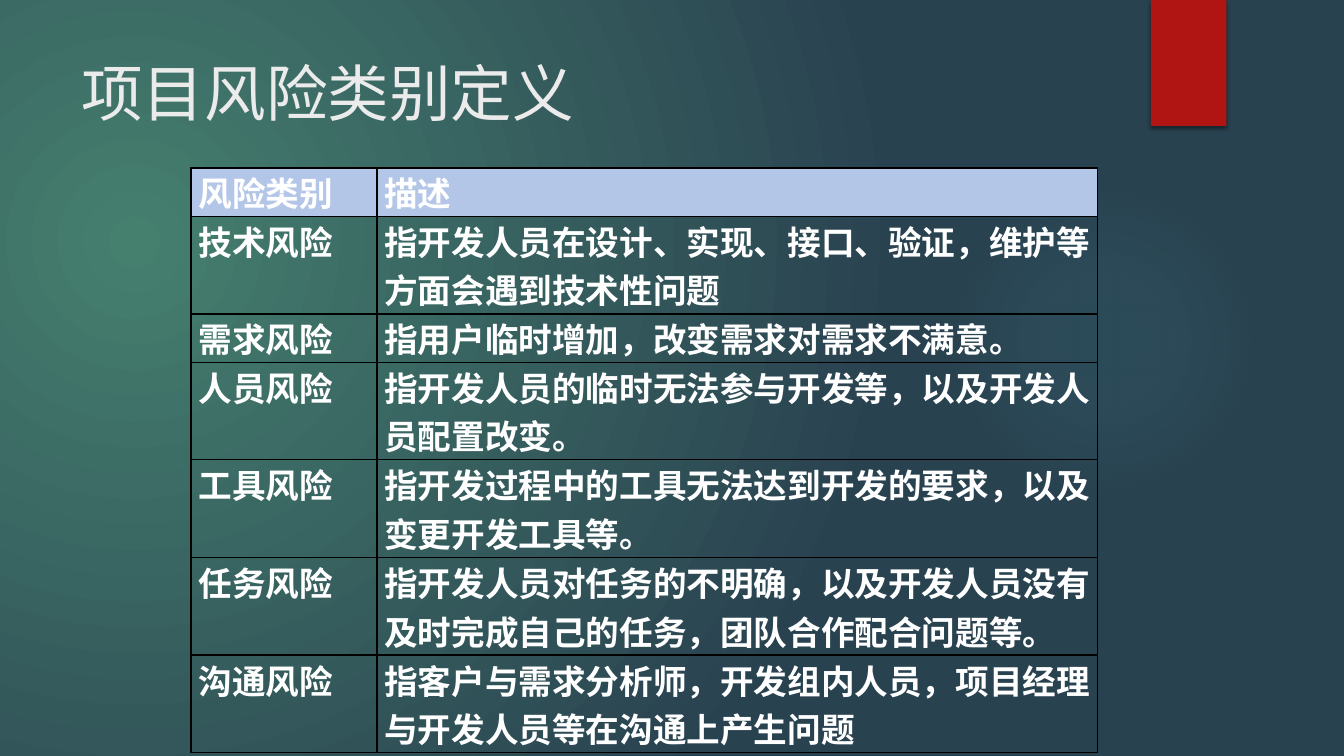
from dataclasses import dataclass

import lxml.etree
import pptx
import pptx.dml.color
import pptx.enum.shapes
import pptx.enum.text
import pptx.oxml
import pptx.oxml.ns
import pptx.util

RGBColor = pptx.dml.color.RGBColor
GREEN = RGBColor(0x45, 0x7F, 0x6E)
NAVY = RGBColor(0x29, 0x42, 0x50)
TEAL = RGBColor(0x50, 0xB9, 0xC1)
RED = RGBColor(0xB0, 0x15, 0x13)
PALE = RGBColor(0xEB, 0xEB, 0xEB)
WHITE = RGBColor(0xFF, 0xFF, 0xFF)
BLACK = RGBColor(0, 0, 0)
HEADER = RGBColor(0xB4, 0xC6, 0xE7)

EMU_PER_PX = 9525
ROW_HEIGHT = {1: 46, 2: 93}  # by number of text lines
TITLE_FONT = {"name": "TeX Gyre Adventor", "size": pptx.util.Pt(44)}
CELL_FONT = {"name": "Calibri", "size": pptx.util.Pt(24), "bold": True}
CELL_FORMAT = {"margin_left": 7, "margin_right": 7, "margin_top": 0, "margin_bottom": 0}


@dataclass
class Box:
    left: int
    top: int
    width: int
    height: int

    def emu(self) -> list[int]:
        return [px(v) for v in (self.left, self.top, self.width, self.height)]


@dataclass
class Stop:
    pos: int
    color: RGBColor
    alpha: int = 100


@dataclass
class Risk:
    name: str
    description: str
    lines: int = 2


RISKS = [
    Risk("风险类别", "描述", 1),
    Risk("技术风险", "指开发人员在设计、实现、接口、验证，维护等方面会遇到技术性问题"),
    Risk("需求风险", "指用户临时增加，改变需求对需求不满意。", 1),
    Risk("人员风险", "指开发人员的临时无法参与开发等，以及开发人员配置改变。"),
    Risk("工具风险", "指开发过程中的工具无法达到开发的要求，以及变更开发工具等。"),
    Risk("任务风险", "指开发人员对任务的不明确，以及开发人员没有及时完成自己的任务，团队合作配合问题等。"),
    Risk("沟通风险", "指客户与需求分析师，开发组内人员，项目经理与开发人员等在沟通上产生问题"),
]
COLUMNS = [177, 686]


def px(value: int) -> int:
    return value * EMU_PER_PX


def xml(text: str) -> lxml.etree._Element:
    """Parse a fragment whose root element is in the a: namespace."""
    head, rest = text.split(" ", 1)
    return pptx.oxml.parse_xml(f"{head} {pptx.oxml.ns.nsdecls('a')} {rest}")


def set_radial(parent: lxml.etree._Element, stops: list[Stop], rect: tuple[int, ...]) -> None:
    """Swap the solid fill of parent for a circular gradient."""
    gs = "".join(
        f'<a:gs pos="{st.pos * 1000}"><a:srgbClr val="{st.color}">'
        f'<a:alpha val="{st.alpha * 1000}"/></a:srgbClr></a:gs>'
        for st in stops
    )
    sides = " ".join(f'{k}="{v * 1000}"' for k, v in zip("ltrb", rect))
    grad = xml(
        f'<a:gradFill rotWithShape="1"><a:gsLst>{gs}</a:gsLst>'
        f'<a:path path="circle"><a:fillToRect {sides}/></a:path></a:gradFill>'
    )
    parent.replace(parent.find(pptx.oxml.ns.qn("a:solidFill")), grad)


def add_plain(s, kind, box: Box, color: RGBColor):
    sp = s.shapes.add_shape(kind, *box.emu())
    sp.fill.solid()
    sp.fill.fore_color.rgb = color
    sp.line.fill.background()
    sp.shadow.inherit = False
    return sp


def write(tf, text: str, font: dict, color: RGBColor) -> None:
    p = tf.paragraphs[0]
    r = p.add_run()
    r.text = text
    for key, value in font.items():
        setattr(r.font, key, value)
    r.font.color.rgb = color


def format_cell(cell, text: str, header: bool) -> None:
    for key, value in CELL_FORMAT.items():
        setattr(cell, key, px(value))
    write(cell.text_frame, text, CELL_FONT, WHITE)
    cell.text_frame.paragraphs[0].alignment = pptx.enum.text.PP_ALIGN.JUSTIFY
    # Borders come before the fill in the cell properties
    tc_pr = cell._tc.get_or_add_tcPr()
    for side in ("lnL", "lnR", "lnT", "lnB"):
        tc_pr.append(xml(
            f'<a:{side} w="12700"><a:solidFill><a:srgbClr val="{BLACK}"/>'
            f"</a:solidFill></a:{side}>"
        ))
    if header:
        cell.fill.solid()
        cell.fill.fore_color.rgb = HEADER
    else:
        cell.fill.background()


def add_risk_table(s, left: int, top: int) -> None:
    height = sum(ROW_HEIGHT[risk.lines] for risk in RISKS)
    box = Box(left, top, sum(COLUMNS), height)
    table = s.shapes.add_table(len(RISKS), len(COLUMNS), *box.emu()).table
    table.horz_banding = False
    for column, width in zip(table.columns, COLUMNS):
        column.width = px(width)
    for i, risk in enumerate(RISKS):
        table.rows[i].height = px(ROW_HEIGHT[risk.lines])
        for j, text in enumerate((risk.name, risk.description)):
            format_cell(table.cell(i, j), text, header=i == 0)


def main() -> None:
    prs = pptx.Presentation()
    prs.slide_width, prs.slide_height = px(1280), px(720)
    s = prs.slides.add_slide(prs.slide_layouts[6])
    shapes = pptx.enum.shapes.MSO_SHAPE

    # Background
    s.background.fill.solid()
    bg = s.element.find(".//" + pptx.oxml.ns.qn("p:bgPr"))
    set_radial(bg, [Stop(0, GREEN), Stop(100, NAVY)], (45, 65, 125, 100))

    # Soft glow
    glow = add_plain(s, shapes.OVAL, Box(903, 176, 296, 296), TEAL)
    stops = [Stop(0, TEAL, 7), Stop(36, TEAL, 6), Stop(69, TEAL, 0)]
    set_radial(glow.element.spPr, stops, (50, 50, 50, 50))

    # Red tab with its shadow
    tab = add_plain(s, shapes.RECTANGLE, Box(1096, 0, 72, 120), RED)
    tab.element.spPr.find(pptx.oxml.ns.qn("a:effectLst")).append(xml(
        '<a:outerShdw blurRad="38100" dist="25400" dir="5400000" rotWithShape="0">'
        f'<a:srgbClr val="{BLACK}"><a:alpha val="45000"/></a:srgbClr></a:outerShdw>'
    ))

    # Title
    tf = s.shapes.add_textbox(*Box(68, 48, 988, 147).emu()).text_frame
    tf.word_wrap = True
    write(tf, "项目风险类别定义", TITLE_FONT, PALE)

    # Risk table
    add_risk_table(s, 182, 160)

    prs.save("out.pptx")


if __name__ == "__main__":
    main()
